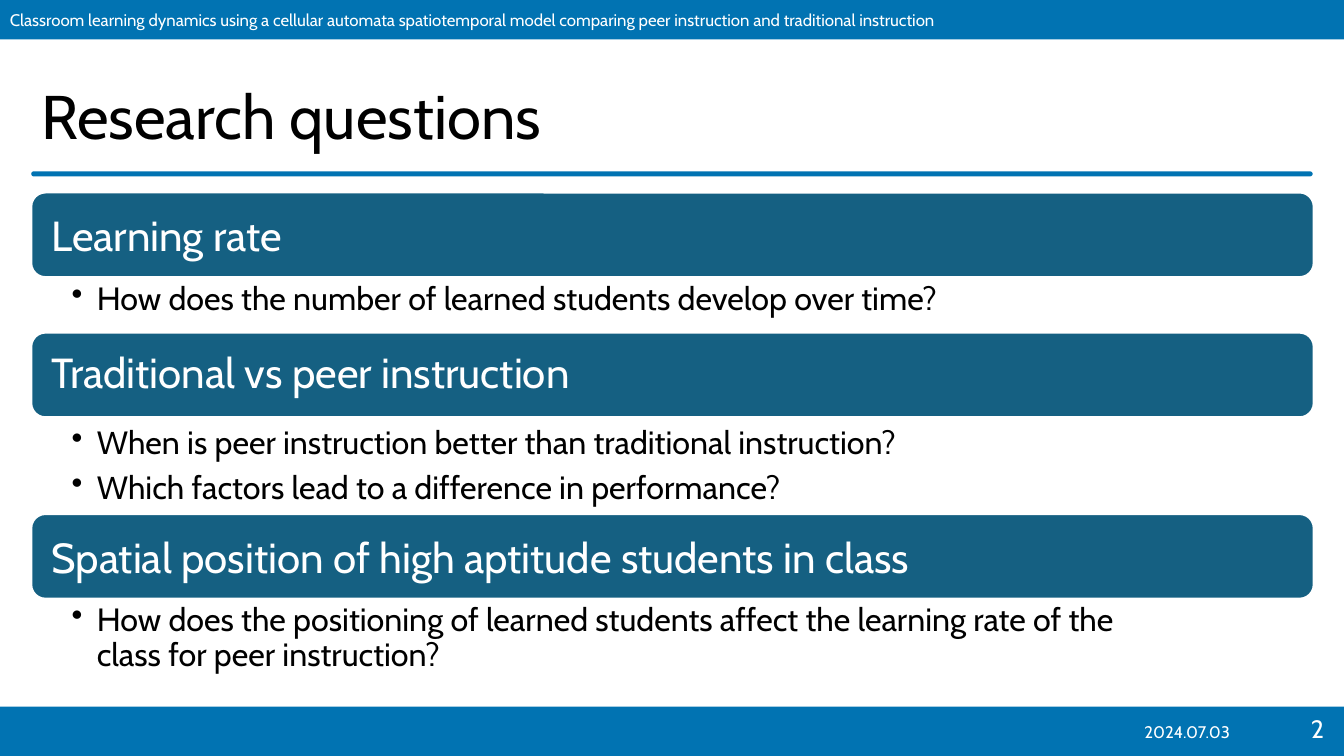
"""Build the research questions slide."""
from dataclasses import dataclass

import pptx
import pptx.dml.color
import pptx.enum.shapes
import pptx.enum.text
import pptx.oxml.xmlchemy
import pptx.util
from lxml import etree

PX = 9144
W, H = 1333, 750
MSO = pptx.enum.shapes.MSO_SHAPE
ALIGN = pptx.enum.text.PP_ALIGN
ANCHOR = pptx.enum.text.MSO_ANCHOR
DRAWING = "{http://schemas.openxmlformats.org/drawingml/2006/main}"


@dataclass(frozen=True)
class Theme:
    font: str = "Cabin"
    blue: str = "0173B2"
    teal: str = "156082"
    white: str = "FFFFFF"
    black: str = "000000"
    title: int = 44
    heading: int = 30
    body: int = 23
    number: int = 18
    small: int = 12


def px(n):
    return pptx.util.Emu(n * PX)


def rgb(value):
    return pptx.dml.color.RGBColor.from_string(value)


def write(sp, lines, *, font, size, color, align=ALIGN.LEFT, anchor=ANCHOR.MIDDLE,
          insets=(10, 5, 10, 5), spacing=1.0, after=0, bullet=False):
    tf = sp.text_frame
    tf.word_wrap = True
    tf.auto_size = pptx.enum.text.MSO_AUTO_SIZE.NONE
    tf.vertical_anchor = anchor
    tf.margin_left, tf.margin_top, tf.margin_right, tf.margin_bottom = map(px, insets)
    for i, line in enumerate(lines):
        p = tf.add_paragraph() if i else tf.paragraphs[0]
        p.text = line
        p.alignment = align
        p.line_spacing = spacing
        p.space_before = pptx.util.Pt(0)
        p.space_after = pptx.util.Pt(after)
        if bullet:
            pPr = p._p.get_or_add_pPr()
            pPr.set("marL", str(px(25)))
            pPr.set("indent", str(px(-25)))
            etree.SubElement(pPr, DRAWING + "buChar").set("char", "•")
        for r in p.runs:
            r.font.name = font
            r.font.size = pptx.util.Pt(size)
            r.font.color.rgb = rgb(color)


class Deck:
    def __init__(self, theme):
        self.theme = theme
        self.prs = pptx.Presentation()
        self.prs.slide_width, self.prs.slide_height = px(W), px(H)
        self.s = self.prs.slides.add_slide(self.prs.slide_layouts[5])

    def title(self, text, x, y, w, h):
        sp = self.s.shapes.title
        sp.left, sp.top, sp.width, sp.height = map(px, (x, y, w, h))
        write(sp, [text], font=self.theme.font, size=self.theme.title,
              color=self.theme.black, spacing=0.9)

    def bar(self, x, y, w, h, fill, kind=MSO.RECTANGLE, outline=None):
        sp = self.s.shapes.add_shape(kind, *map(px, (x, y, w, h)))
        sp.shadow.inherit = False
        sp.fill.solid()
        sp.fill.fore_color.rgb = rgb(fill)
        if outline:
            sp.line.color.rgb = rgb(outline)
            sp.line.width = pptx.util.Pt(1.5)
        else:
            sp.line.fill.background()
        return sp

    def text(self, lines, x, y, w, h, **fmt):
        sp = self.s.shapes.add_textbox(*map(px, (x, y, w, h)))
        write(sp, lines, font=self.theme.font, **fmt)

    def question(self, heading, bullets, y, body_h, head_spacing, body_spacing):
        t = self.theme
        x, w, head_h = 31, 1272, 84
        sp = self.bar(x, y, w, head_h, t.teal, MSO.ROUNDED_RECTANGLE, t.white)
        write(sp, [heading], font=t.font, size=t.heading, color=t.white,
              insets=(16, 16, 16, 16), spacing=head_spacing, after=10.5)
        self.text(bullets, x, y + head_h + 1, w, body_h, size=t.body, color=t.black,
                  anchor=ANCHOR.TOP, insets=(40, 4, 23, 4), spacing=body_spacing,
                  after=4.6, bullet=True)
        return y + head_h + 1 + body_h


def main():
    t = Theme()
    deck = Deck(t)
    deck.bar(0, 701, W, 49, t.blue)
    header = deck.bar(0, 0, W, 39, t.blue)
    write(header, ["Classroom learning dynamics using a cellular automata spatiotemporal "
                   "model comparing peer instruction and traditional instruction"],
          font=t.font, size=t.small, color=t.white)
    rule = deck.bar(31, 170, 1271, 5, t.blue, MSO.ROUNDED_RECTANGLE)
    rule.adjustments[0] = 0.5
    deck.title("Research questions", 31, 76, 1092, 85)

    questions = [
        ("Learning rate",
         ["How does the number of learned students develop over time?"], 54, 1.0, 0.9),
        ("Traditional vs peer instruction",
         ["When is peer instruction better than traditional instruction?",
          "Which factors lead to a difference in performance?"], 95, 0.9, 1.0),
        ("Spatial position of high aptitude students in class",
         ["How does the positioning of learned students affect the learning rate of the \n"
          "class for peer instruction?"], 80, 1.0, 0.9),
    ]
    y = 191
    for heading, bullets, body_h, head_spacing, body_spacing in questions:
        y = deck.question(heading, bullets, y, body_h, head_spacing, body_spacing)

    deck.text(["2"], 1242, 706, 81, 39, size=t.number, color=t.white,
              align=ALIGN.RIGHT, anchor=ANCHOR.TOP, spacing=0.9)
    deck.text(["2024.07.03"], 1118, 706, 119, 39, size=t.small, color=t.white,
              align=ALIGN.CENTER)
    deck.prs.save("out.pptx")


if __name__ == "__main__":
    main()
